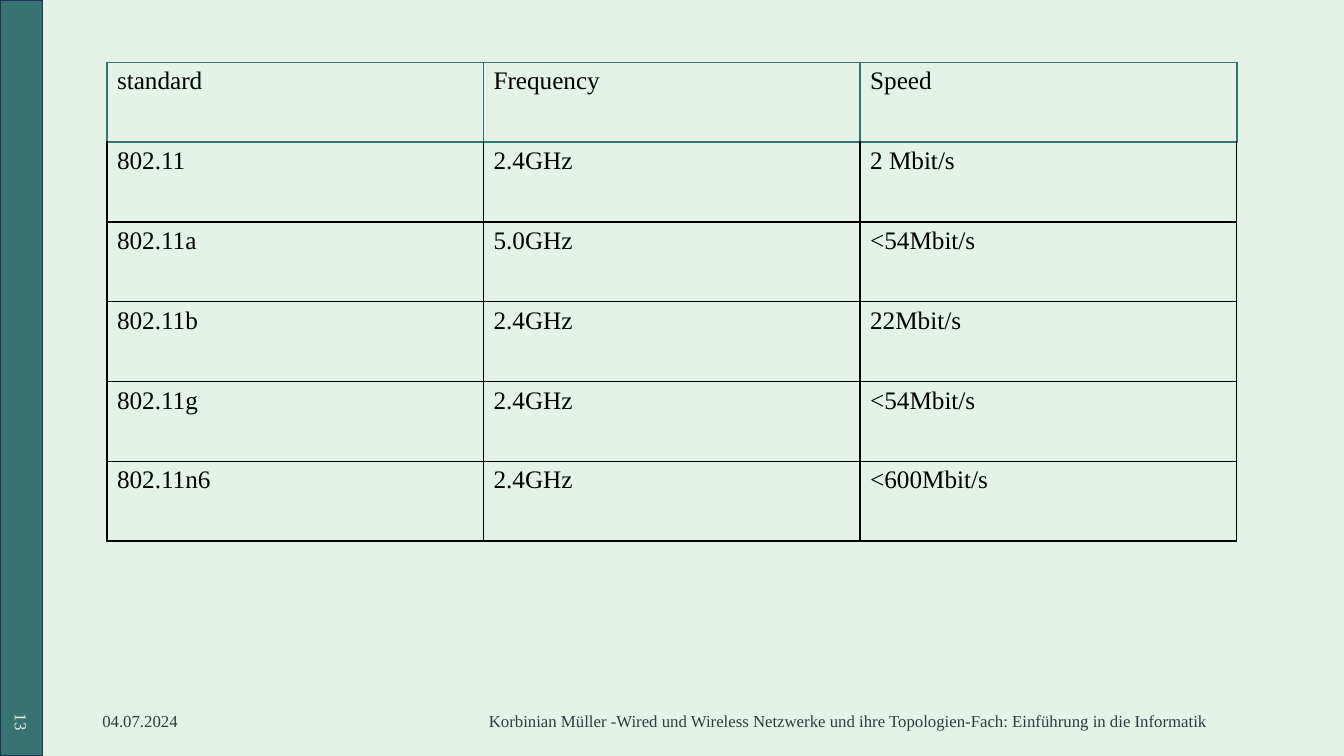
from lxml.etree import SubElement
from pptx import Presentation
from pptx.dml.color import RGBColor
from pptx.enum.shapes import MSO_SHAPE
from pptx.enum.text import MSO_ANCHOR, PP_ALIGN
from pptx.oxml.ns import qn
from pptx.util import Pt

FONT = "Times New Roman"
COLOURS = {
    "background": "E4F2E7",
    "teal": "387373",
    "navy": "1E3256",
    "footer": "2D3E40",
    "black": "000000",
}
STANDARDS = [
    ("standard", "Frequency", "Speed"),
    ("802.11", "2.4GHz", "2 Mbit/s"),
    ("802.11a", "5.0GHz", "<54Mbit/s"),
    ("802.11b", "2.4GHz", "22Mbit/s"),
    ("802.11g", "2.4GHz", "<54Mbit/s"),
    ("802.11n6", "2.4GHz", "<600Mbit/s"),
]
# text, (left, top, width, height), alignment, colour, rotation
FOOTERS = [
    ("04.07.2024", (66, 500.5, 216, 28.8), PP_ALIGN.LEFT, "footer", 0),
    ("Korbinian Müller -Wired und Wireless Netzwerke und ihre Topologien-Fach: "
     "Einführung in die Informatik",
     (318, 500.5, 576, 28.8), PP_ALIGN.CENTER, "footer", 0),
    ("13", (-13.2, 486, 57, 28.8), PP_ALIGN.RIGHT, "background", 90),
]
TABLE_LEFT, TABLE_TOP = 76.4, 44.6
COLUMN_WIDTH, ROW_HEIGHT = 269, 57


def colour(name):
    return RGBColor.from_string(COLOURS[name])


def write(para, text, size, colour_name):
    span = para.add_run()
    span.text = text
    span.font.name = FONT
    span.font.size = Pt(size)
    span.font.color.rgb = colour(colour_name)


def add_side_bar(page):
    bar = page.shapes.add_shape(MSO_SHAPE.RECTANGLE, 0, 0, Pt(30.2), Pt(540))
    bar.shadow.inherit = False
    bar.fill.solid()
    bar.fill.fore_color.rgb = colour("teal")
    bar.line.color.rgb = colour("navy")
    bar.line.width = Pt(1)


def add_footer(page, text, place, alignment, colour_name, rotation):
    box = page.shapes.add_textbox(*(Pt(length) for length in place))
    box.rotation = rotation
    frame = box.text_frame
    frame.word_wrap = True
    frame.vertical_anchor = MSO_ANCHOR.MIDDLE
    para = frame.paragraphs[0]
    para.alignment = alignment
    write(para, text, 12, colour_name)


def set_borders(cell, row):
    """Teal lines surround the header; black lines surround the other cells."""
    properties = cell._tc.get_or_add_tcPr()
    for position, side in enumerate(("lnL", "lnR", "lnT", "lnB")):
        teal = row == 0 or (row == 1 and side == "lnT")
        name, width = ("teal", 1.5) if teal else ("black", 1)
        line = SubElement(properties, qn(f"a:{side}"), w=str(Pt(width)))
        fill = SubElement(line, qn("a:solidFill"))
        SubElement(fill, qn("a:srgbClr"), val=COLOURS[name])
        properties.insert(position, line)


def add_standards_table(page):
    rows, columns = len(STANDARDS), len(STANDARDS[0])
    table = page.shapes.add_table(
        rows, columns, Pt(TABLE_LEFT), Pt(TABLE_TOP),
        Pt(columns * COLUMN_WIDTH), Pt(rows * ROW_HEIGHT)).table
    table.first_row = False
    table.horz_banding = False
    for row, values in enumerate(STANDARDS):
        for column, value in enumerate(values):
            cell = table.cell(row, column)
            cell.fill.background()
            set_borders(cell, row)
            write(cell.text_frame.paragraphs[0], value, 18, "black")


def main():
    deck = Presentation()
    deck.slide_width, deck.slide_height = Pt(960), Pt(540)
    page = deck.slides.add_slide(deck.slide_layouts[6])
    page.background.fill.solid()
    page.background.fill.fore_color.rgb = colour("background")
    add_side_bar(page)
    for footer in FOOTERS:
        add_footer(page, *footer)
    add_standards_table(page)
    deck.save("out.pptx")


if __name__ == "__main__":
    main()
